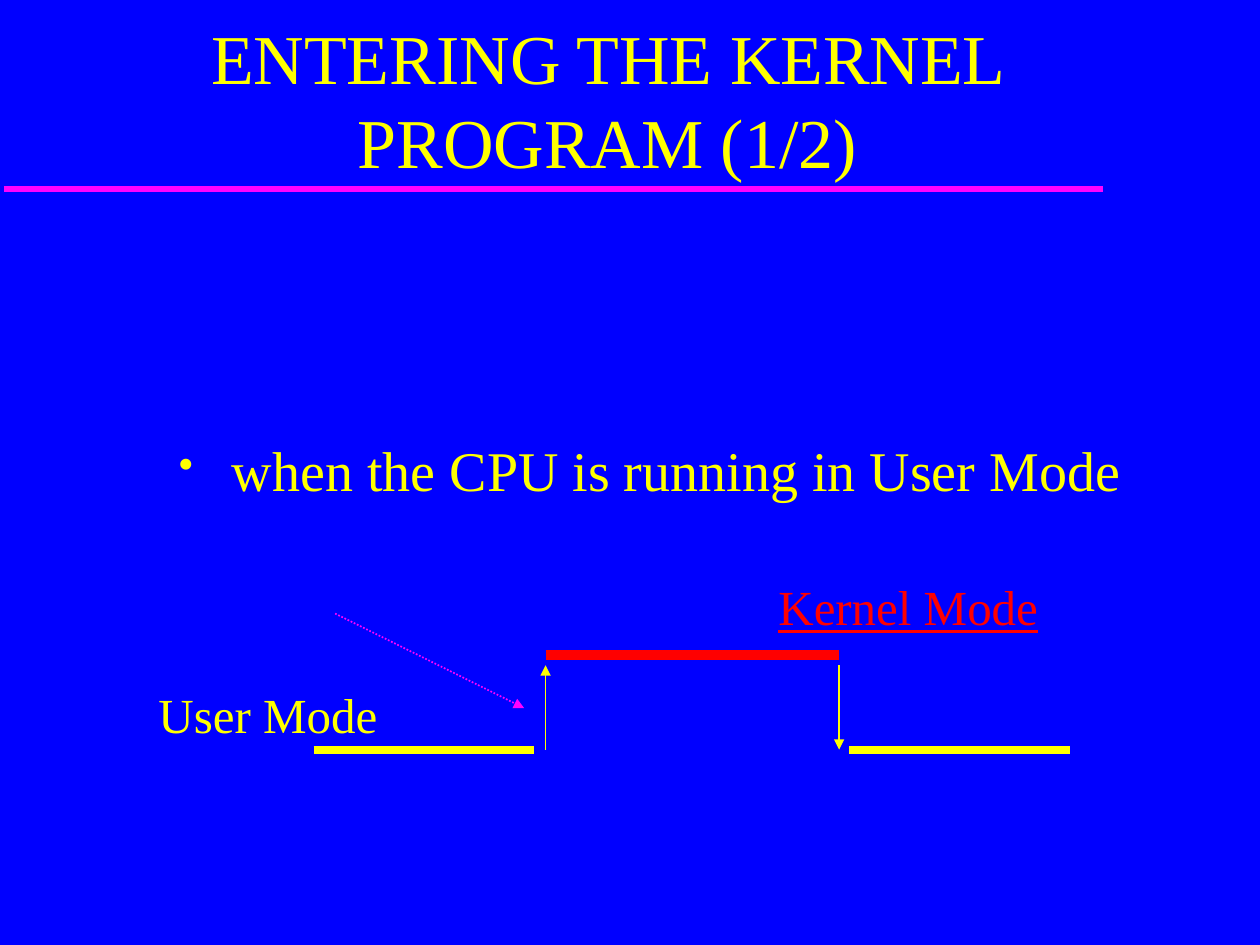
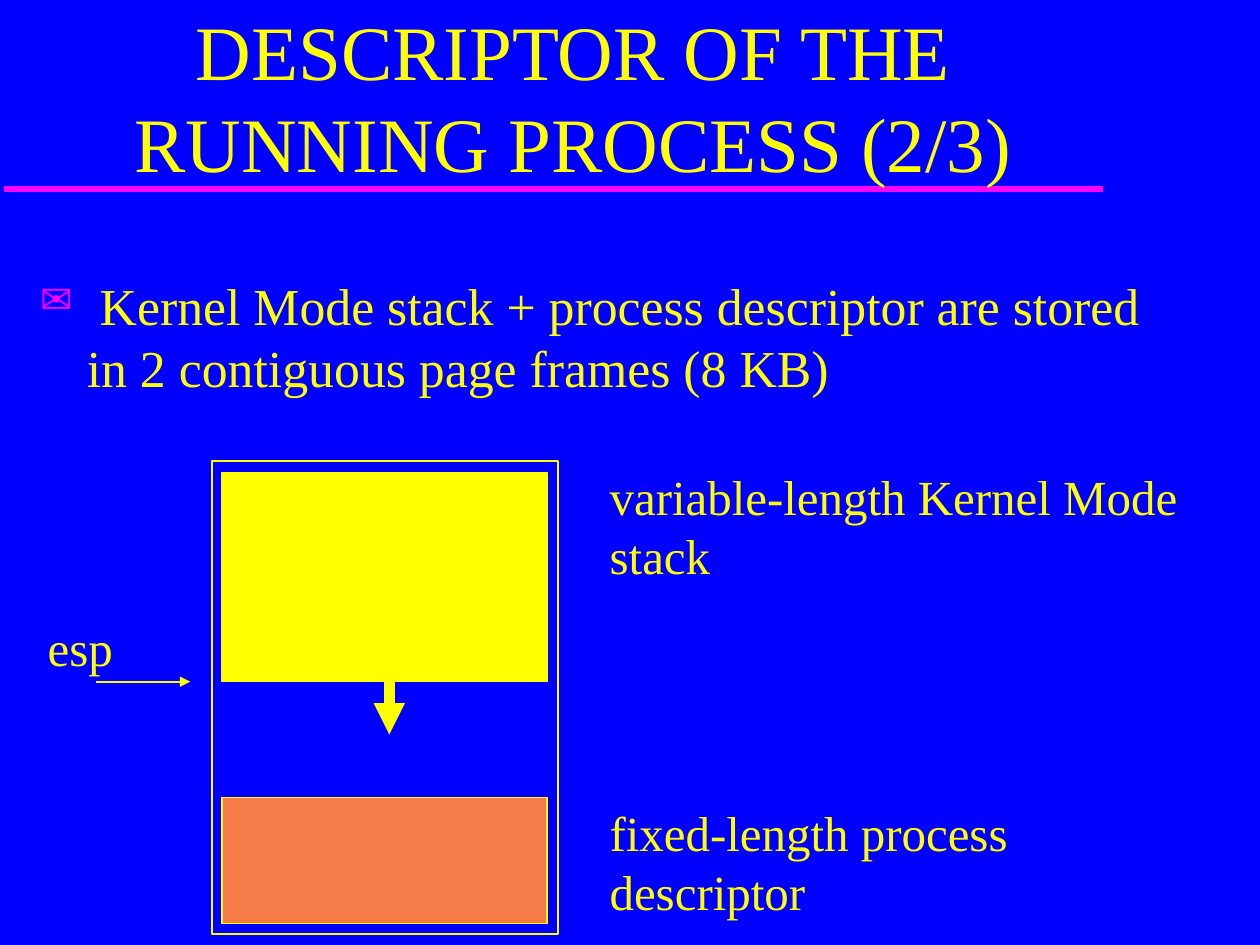
"""Build two slides on kernel mode and the process descriptor."""
import pptx
import pptx.dml.color
import pptx.enum.dml
import pptx.enum.shapes
import pptx.enum.text
import pptx.oxml.ns
import pptx.util
from lxml import etree

W, H = 10, 7.5
CELL = W / 100
FONT = "Times New Roman"
BLUE, GOLD, PINK, RED, CORAL = "0000FF", "FFFF00", "FF00FF", "FF0000", "F57B49"
LOW, HIGH, TIP = 59.5, 52, 52.8
RISE, FALL = 43.3, 66.6
EDGE, WIDE = 17.6, 25.8

PAGES = [
    dict(
        title=("ENTERING THE KERNEL PROGRAM (1/2)", (5.7, 1.5, 85, 13.5), 40),
        items=[
            dict(at=(9.2, 34.6, 79.8, 5.3), rows=[" when the CPU is running in User Mode"],
                 size=32, pad=False, wrap=False, mark=("•", GOLD, 8.1, 3.1)),
            dict(at=(11.6, 53.8, 19.4, 5.7), rows=["User Mode"], mid=True, wrap=False),
            dict(at=(60.8, 45.3, 23.3, 5.7), rows=["Kernel Mode"], hue=RED, under=True),
        ],
        boxes=[],
        lines=[
            dict(ends=(24.9, LOW, 42.4, LOW), wide=4.5),
            dict(ends=(RISE, HIGH, FALL, HIGH), hue=RED, wide=6),
            dict(ends=(RISE, LOW, RISE, TIP), head=True),
            dict(ends=(FALL, TIP, FALL, LOW), head=True),
            dict(ends=(67.4, LOW, 84.9, LOW), wide=4.5),
            dict(ends=(26.6, 48.7, 41.6, 56.2), hue=PINK, head=True, dots=True),
        ],
    ),
    dict(
        title=("DESCRIPTOR OF THE RUNNING PROCESS (2/3)", (3, 0.7, 85, 14.7), 44),
        items=[
            dict(at=(2.2, 21.2, 92.2, 11.2), size=29.6, mark=("✉", PINK, 3.7, 3.7), rows=[
                " Kernel Mode stack + process descriptor are stored in 2 contiguous page frames (8 KB)"]),
            dict(at=(47.4, 63.2, 34.6, 10.4), rows=["fixed-length process", "descriptor"],
                 mid=True, wrap=False),
            dict(at=(47.4, 36.5, 47.1, 10.4), rows=["variable-length Kernel Mode", "stack"],
                 mid=True, wrap=False),
            dict(at=(2.8, 48.5, 8.1, 5.7), rows=["esp"]),
        ],
        boxes=[
            ((16.8, 36.6, 27.5, 37.5), None),
            ((EDGE, 63.3, WIDE, 10), CORAL),
            ((EDGE, 37.5, WIDE, 16.6), GOLD),
        ],
        lines=[
            dict(ends=(30.9, 48.3, 30.9, 58.3), wide=6, head=True),
            dict(ends=(7.6, 54.1, 15.1, 54.1), head=True),
        ],
    ),
]


def cells(vals):
    return [pptx.util.Inches(v * CELL) for v in vals]


def tint(hue):
    return pptx.dml.color.RGBColor.from_string(hue)


def node(root, tag, **attrs):
    return etree.SubElement(root, pptx.oxml.ns.qn("a:" + tag), attrs)


def bullet(para, mark):
    sign, hue, left, hang = mark
    prop = para._p.get_or_add_pPr()
    left, hang = cells((left, hang))
    prop.set("marL", str(left))
    prop.set("indent", str(-hang))
    node(node(prop, "buClr"), "srgbClr", val=hue)
    node(prop, "buSzPct", val="75000")
    node(prop, "buChar", char=sign)


def text(page, at, rows, size=28, hue=GOLD, pad=True, wrap=True, mid=False,
         low=False, under=False, mark=None):
    frame = page.shapes.add_textbox(*cells(at)).text_frame
    frame.word_wrap = wrap
    anchor = pptx.enum.text.MSO_ANCHOR
    frame.vertical_anchor = anchor.BOTTOM if low else anchor.MIDDLE if mid else anchor.TOP
    if not pad:
        frame.margin_left = frame.margin_right = frame.margin_top = frame.margin_bottom = 0
    for i, row in enumerate(rows):
        para = frame.add_paragraph() if i else frame.paragraphs[0]
        if low:
            para.alignment = pptx.enum.text.PP_ALIGN.CENTER
        if mark:
            bullet(para, mark)
        run = para.add_run()
        run.text = row
        font = run.font
        font.name, font.size = FONT, pptx.util.Pt(size)
        font.color.rgb = tint(hue)
        if under:
            font.underline = True


def line(page, ends, hue=GOLD, wide=1, head=False, dots=False):
    link = page.shapes.add_connector(pptx.enum.shapes.MSO_CONNECTOR.STRAIGHT, *cells(ends))
    link.line.color.rgb = tint(hue)
    link.line.width = pptx.util.Pt(wide)
    if dots:
        link.line.dash_style = pptx.enum.dml.MSO_LINE.ROUND_DOT
    if head:
        node(link.line._get_or_add_ln(), "tailEnd", type="triangle")
    node(link._element.spPr, "effectLst")


def box(page, at, hue):
    form = page.shapes.add_shape(pptx.enum.shapes.MSO_SHAPE.ROUNDED_RECTANGLE, *cells(at))
    form.adjustments[0] = 0
    form.shadow.inherit = False
    if hue:
        form.fill.solid()
        form.fill.fore_color.rgb = tint(hue)
    else:
        form.fill.background()
    form.line.color.rgb = tint(GOLD)
    form.line.width = pptx.util.Pt(1)


def build(deck, plan):
    page = deck.slides.add_slide(deck.slide_layouts[6])
    line(page, (0.3, 15, 87.5, 15), PINK, 4)
    name, at, size = plan["title"]
    text(page, at, [name], size, low=True)
    for at, hue in plan["boxes"]:
        box(page, at, hue)
    for item in plan["items"]:
        text(page, **item)
    for item in plan["lines"]:
        line(page, **item)


def main():
    deck = pptx.Presentation()
    deck.slide_width, deck.slide_height = pptx.util.Inches(W), pptx.util.Inches(H)
    fill = deck.slide_master.background.fill
    fill.solid()
    fill.fore_color.rgb = tint(BLUE)
    for plan in PAGES:
        build(deck, plan)
    deck.save("out.pptx")


if __name__ == "__main__":
    main()
